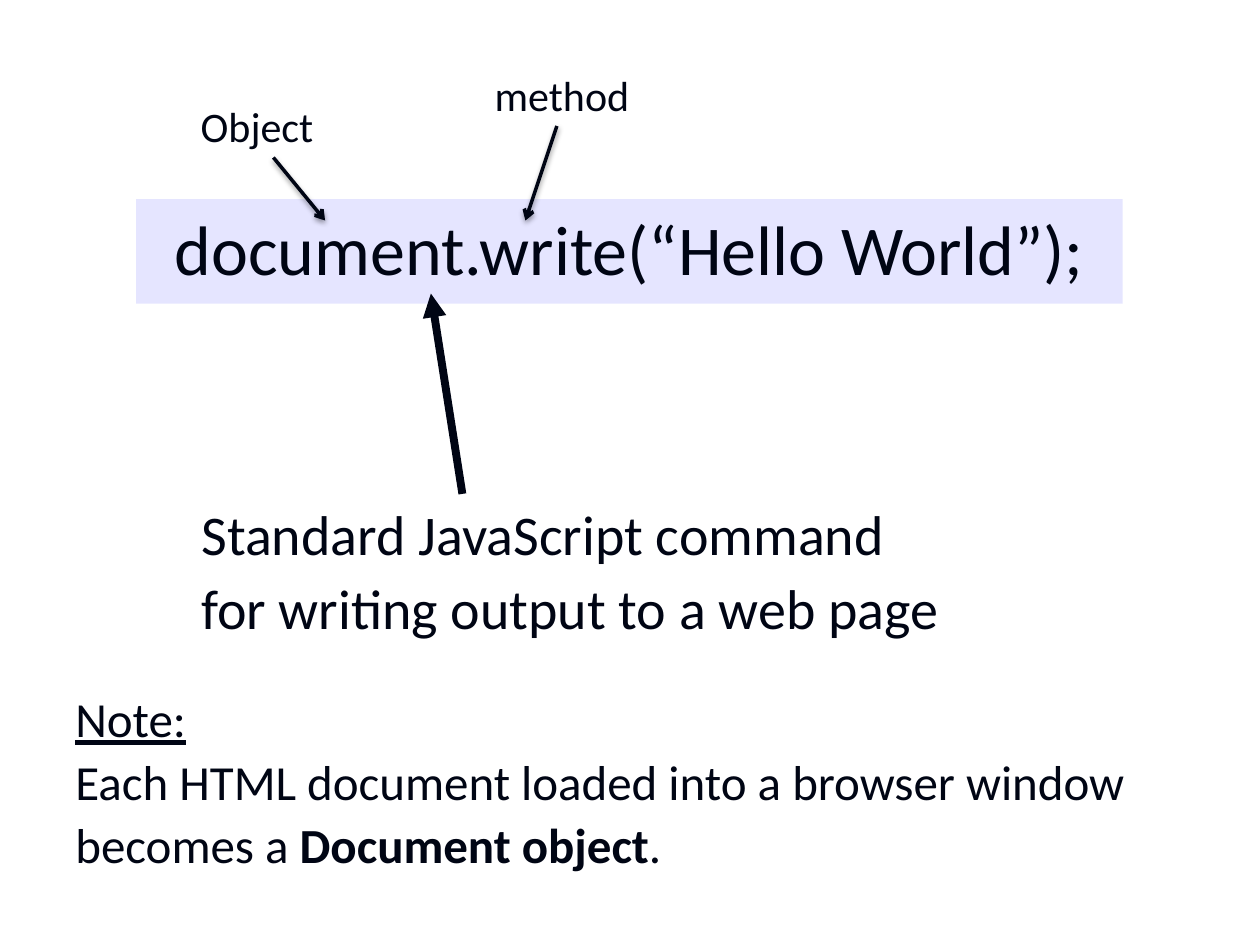
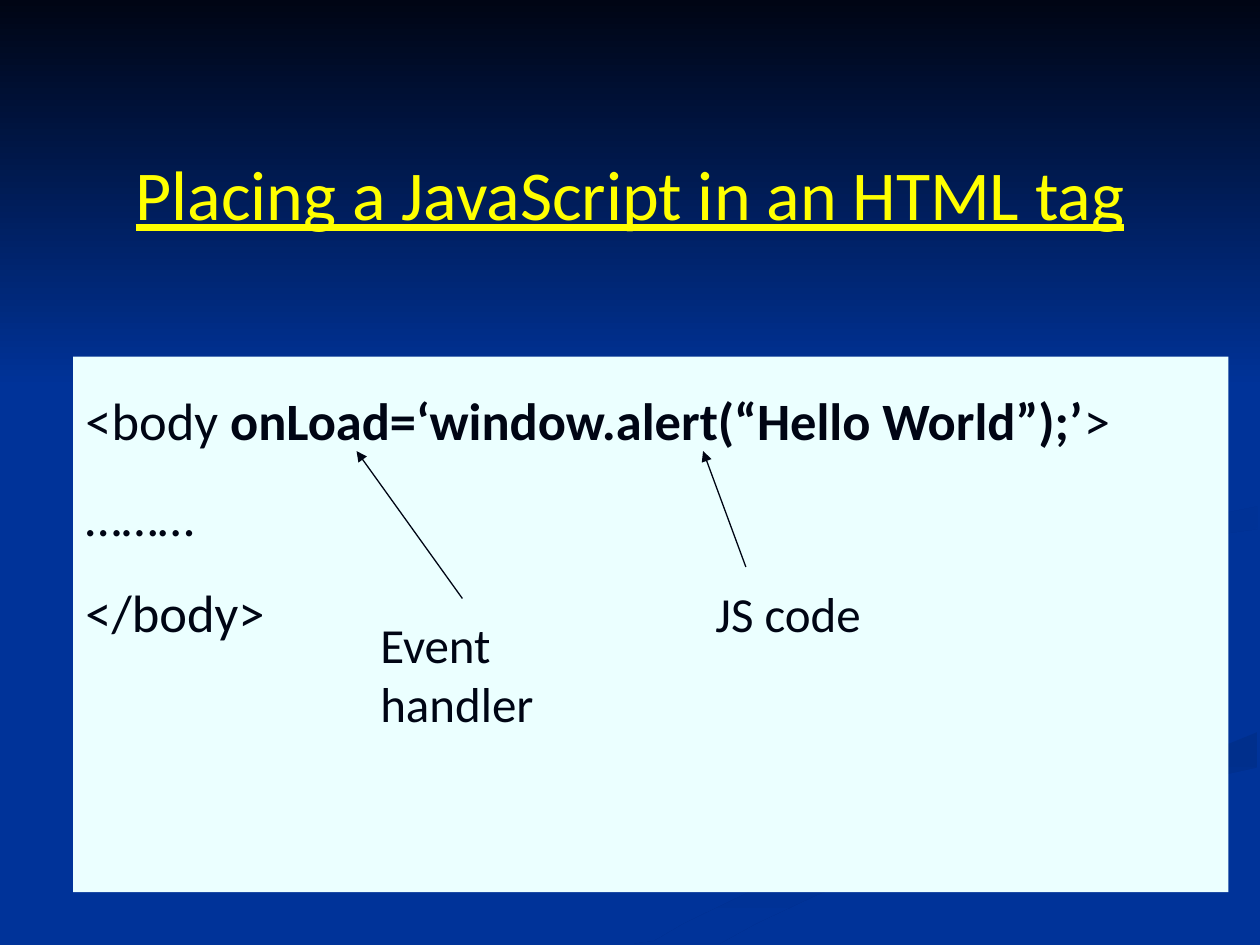
"""Builds two slides on JavaScript: the write command and code in an HTML tag."""
from dataclasses import dataclass

from lxml import etree
from pptx import Presentation
from pptx.dml.color import RGBColor
from pptx.enum.shapes import MSO_CONNECTOR, MSO_SHAPE
from pptx.enum.text import MSO_ANCHOR, PP_ALIGN
from pptx.oxml.ns import qn
from pptx.util import Cm, Pt

RECT = MSO_SHAPE.RECTANGLE
LINE = MSO_CONNECTOR.STRAIGHT
TOP, MIDDLE = MSO_ANCHOR.TOP, MSO_ANCHOR.MIDDLE
LEFT, CENTER = PP_ALIGN.LEFT, PP_ALIGN.CENTER


@dataclass(frozen=True)
class Theme:
    """Colours, font and type sizes of the deck."""
    font: str = "Calibri"
    ink: str = "000514"
    paper: str = "FFFFFF"
    blue: str = "003399"
    yellow: str = "FFFF00"
    lilac: str = "E5E5FF"
    ice: str = "EBFFFF"
    title: int = 40
    lead: int = 32
    code: int = 30
    note: int = 28
    label: int = 24


THEME = Theme()
SIZE = (10, 7.5)

COMMAND = ["document.write(“Hello World”);"]
MEANING = ["Standard JavaScript command", "for writing output to a web page"]
NOTE = [
    [("Note:", "u")],
    [("Each HTML document loaded into a browser window becomes a ", ""),
     ("Document object", "b"), (".", "")],
]
PARTS = [
    ("Object", (1.25, 0.75), (2.17, 1.25), (2.58, 1.75)),
    ("method", (3.67, 0.5), (4.42, 1), (4.17, 1.75)),
]

TITLE = [[("Placing a JavaScript in an HTML tag", "u")]]
CODE = [
    [("<body ", ""), ("onLoad=‘window.alert(“Hello World”);’", "b"), (">", "")],
    "………",
    "</body>",
]
HINTS = [
    ("Event handler", (2.92, 4.83, 2.3, 1.04), 0.7, (2.83, 3.58), (3.67, 4.75)),
    ("JS code", (5.58, 4.58, 1.41, 0.57), 0.1, (5.58, 3.58), (5.92, 4.5)),
]
WAVES = [
    ("003399", "003193", 0, [
        (7.81, 5.53), (7.57, 5.43), (7.15, 5.28), (6.42, 5.07), (6.02, 4.9),
        (5.79, 4.73), (5.75, 4.59), (5.7, 4.7), (5.86, 4.87), (6.31, 5.05),
        (7.14, 5.3), (7.7, 5.51), (7.86, 5.66), (7.67, 5.87), (7.14, 6.05),
        (6.16, 6.29), (4.99, 6.61), (4.17, 6.9), (3.38, 7.27), (3, 7.49),
        (3.61, 7.49), (4.31, 7.14), (5.32, 6.74), (6.51, 6.4), (7.56, 6.14),
        (7.91, 5.97), (8, 5.81), (7.92, 5.61)]),
    ("002F8C", "003399", 90, [
        (5.19, 7.47), (5.03, 7.49), (5.71, 7.49), (6, 7.33), (6.49, 7.1),
        (7.22, 6.82), (8.21, 6.51), (9.03, 6.3), (9.98, 6.09), (9.98, 5.81),
        (9.76, 5.9), (9.2, 6.06), (8.31, 6.29), (7.64, 6.47), (6.62, 6.81),
        (5.99, 7.06), (5.43, 7.33)]),
    ("003091", "003399", 45, [
        (7.81, 4.6), (7.86, 4.74), (8.06, 4.87), (8.26, 4.96), (8.09, 4.84),
        (8.05, 4.72), (8.16, 4.59), (8.43, 4.48), (8.96, 4.35), (9.54, 4.26),
        (9.98, 4.2), (9.98, 4.02), (9.33, 4.15), (8.65, 4.24), (8.21, 4.34),
        (7.91, 4.47)]),
]


def inch(num):
    return Cm(num * 2.54)


def tint(hexa):
    return RGBColor.from_string(hexa)


def fade(shape, start, end, angle):
    shape.shadow.inherit = False
    shape.line.fill.background()
    shape.fill.gradient()
    shape.fill.gradient_angle = -angle % 360
    for stop, hue in zip(shape.fill.gradient_stops, (start, end)):
        stop.color.rgb = tint(hue)


def write(shape, paras, size, hue=THEME.ink, align=LEFT, anchor=TOP,
          gap=None, before=0, wrap=True):
    frame = shape.text_frame
    frame.word_wrap = wrap
    frame.vertical_anchor = anchor
    for num, runs in enumerate(paras):
        para = frame.add_paragraph() if num else frame.paragraphs[0]
        para.alignment = align
        if gap:
            para.line_spacing = gap
        if num and before:
            para.space_before = Pt(before)
        for text, style in [(runs, "")] if isinstance(runs, str) else runs:
            run = para.add_run()
            run.text = text
            font = run.font
            font.name, font.size = THEME.font, Pt(size)
            font.color.rgb = tint(hue)
            font.bold, font.underline = style == "b", style == "u"


def label(slide, place, paras, size, **style):
    box = slide.shapes.add_textbox(*map(inch, place))
    write(box, paras, size, **style)
    return box


def panel(slide, place, hue, paras, size, **style):
    box = slide.shapes.add_shape(RECT, *map(inch, place))
    box.shadow.inherit = False
    box.fill.solid()
    box.fill.fore_color.rgb = tint(hue)
    box.line.fill.background()
    write(box, paras, size, **style)


def arrow(slide, start, end, width, tip="headEnd", kind="triangle", shade=False):
    line = slide.shapes.add_connector(LINE, *map(inch, (*start, *end)))
    line.line.color.rgb = tint(THEME.ink)
    line.line.width = Pt(width)
    etree.SubElement(line.line._get_or_add_ln(), qn("a:" + tip), type=kind)
    glow = etree.SubElement(line._element.spPr, qn("a:effectLst"))
    if shade:
        cast = etree.SubElement(glow, qn("a:outerShdw"), blurRad=str(Pt(3.1)),
                                dist=str(Pt(1.6)), dir="5400000", rotWithShape="0")
        dark = etree.SubElement(cast, qn("a:srgbClr"), val="000000")
        etree.SubElement(dark, qn("a:alpha"), val="38000")


def page(deck, hue):
    slide = deck.slides.add_slide(deck.slide_layouts[6])
    slide.background.fill.solid()
    slide.background.fill.fore_color.rgb = tint(hue)
    return slide


def scene(slide):
    for start, end, angle, points in WAVES:
        spots = [(inch(x), inch(y)) for x, y in points]
        pen = slide.shapes.build_freeform(*spots[0])
        pen.add_line_segments(spots[1:], close=True)
        fade(pen.convert_to_shape(), start, end, angle)
    band = slide.shapes.add_shape(RECT, 0, 0, inch(SIZE[0]), inch(3.08))
    fade(band, THEME.ink, THEME.blue, 90)


def command(deck):
    slide = page(deck, THEME.paper)
    panel(slide, (1.08, 1.58, 7.83, 0.83), THEME.lilac, COMMAND, THEME.title,
          align=CENTER)
    arrow(slide, (3.42, 2.33), (3.67, 3.92), 4.5)
    label(slide, (1.5, 3.86, 6.06, 1.27), MEANING, THEME.lead, gap=1.1, wrap=False)
    for text, spot, start, end in PARTS:
        arrow(slide, start, end, 2, "tailEnd", "arrow", True)
        label(slide, (*spot, 1.58, 0.51), [text], THEME.label, align=CENTER)
    label(slide, (0.5, 5.38, 8.58, 1.61), NOTE, THEME.note, gap=Pt(36))


def tag(deck):
    slide = page(deck, THEME.blue)
    scene(slide)
    label(slide, (0.5, 1.17, 9, 0.72), TITLE, THEME.title, hue=THEME.yellow,
          align=CENTER, anchor=MIDDLE)
    panel(slide, (0.58, 2.83, 9.17, 4.25), THEME.ice, CODE, THEME.code,
          gap=1.4, before=4.5)
    for text, place, inset, start, end in HINTS:
        arrow(slide, start, end, 0.75)
        box = label(slide, place, [text], THEME.note)
        box.text_frame.margin_right = inch(inset)


def main():
    deck = Presentation()
    deck.slide_width, deck.slide_height = map(inch, SIZE)
    command(deck)
    tag(deck)
    deck.save("out.pptx")


main()
